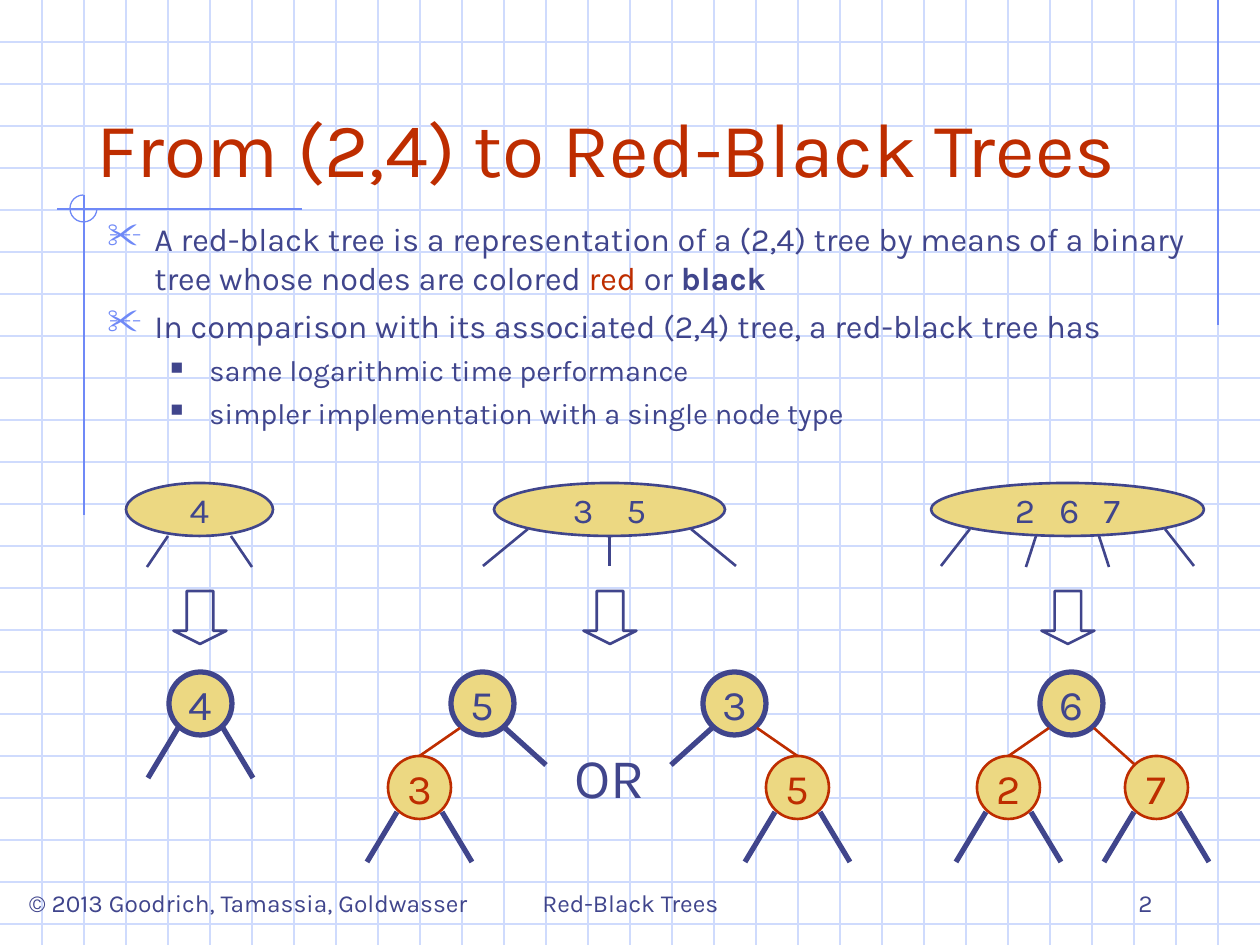
from lxml.etree import SubElement
from pptx import Presentation
from pptx.dml.color import RGBColor
from pptx.enum.shapes import MSO_CONNECTOR, MSO_SHAPE
from pptx.enum.text import MSO_ANCHOR, MSO_AUTO_SIZE, PP_ALIGN
from pptx.oxml.ns import qn
from pptx.util import Emu, Pt

PX = 914400 / 126
W, H = 1260, 945
FONT = "Karla"
COLORS = {"ink": "40458C", "red": "BE2D00", "gold": "ECD882",
          "grid": "CFDBFD", "rule": "6F89F7"}
NODE = 63


def px(*values):
    return [Emu(round(v * PX)) for v in values]


def rgb(name):
    return RGBColor.from_string(COLORS[name])


def add_run(p, text, size, color="ink", bold=False):
    r = p.add_run()
    r.text = text
    r.font.name, r.font.size, r.font.bold = FONT, Pt(size), bold
    r.font.color.rgb = rgb(color)
    return r


def add_line(s, start, end, color="ink", width=1.5):
    c = s.shapes.add_connector(MSO_CONNECTOR.STRAIGHT, *px(*start, *end))
    c.line.color.rgb, c.line.width = rgb(color), Pt(width)
    SubElement(c.element.spPr, qn("a:effectLst"))
    return c


def add_outline(s, kind, box, color="ink", width=1.5, fill=None):
    sp = s.shapes.add_shape(kind, *px(*box))
    sp.shadow.inherit = False
    sp.line.color.rgb, sp.line.width = rgb(color), Pt(width)
    if fill:
        sp.fill.solid()
        sp.fill.fore_color.rgb = rgb(fill)
    else:
        sp.fill.background()
    return sp


def add_label(s, box, text, size, align=PP_ALIGN.CENTER, anchor=MSO_ANCHOR.BOTTOM, wrap=True):
    tf = s.shapes.add_textbox(*px(*box)).text_frame
    tf.word_wrap, tf.vertical_anchor = wrap, anchor
    tf.paragraphs[0].alignment = align
    add_run(tf.paragraphs[0], text, size)


def add_oval(s, box, keys, size, color="ink", width=1.5, gap=0):
    """Oval with its keys in a row; gap is the extra space between keys in points."""
    sp = add_outline(s, MSO_SHAPE.OVAL, box, color, width, "gold")
    tf = sp.text_frame
    tf.word_wrap, tf.vertical_anchor = False, MSO_ANCHOR.MIDDLE
    p = tf.paragraphs[0]
    p.alignment = PP_ALIGN.CENTER
    for i, key in enumerate(keys):
        if i:
            space = add_run(p, " ", size, color)
            space.font._element.set("spc", str(gap * 100))
        add_run(p, key, size, color)
    return sp


def draw_backdrop(s):
    pitch = 42
    for y in range(pitch, H, pitch):
        add_line(s, (0, y), (W, y), "grid", 0.75)
    for x in range(pitch, W, pitch):
        add_line(s, (x, 0), (x, H), "grid", 0.75)
    for start, end in [((1218, 0), (1218, 325)), ((302, 209), (57, 209)),
                       ((84, 195), (84, 515))]:
        add_line(s, start, end, "rule", 0.75)
    arc = add_outline(s, MSO_SHAPE.ARC, (70, 195, 27, 27), "rule", 0.75)
    arc.adjustments[0], arc.adjustments[1] = 0, 162


def draw_title(s, box, text):
    sp = s.shapes.title
    sp.left, sp.top, sp.width, sp.height = px(*box)
    tf = sp.text_frame
    tf.auto_size, tf.vertical_anchor = MSO_AUTO_SIZE.NONE, MSO_ANCHOR.BOTTOM
    tf.paragraphs[0].alignment = PP_ALIGN.LEFT
    add_run(tf.paragraphs[0], text, 44, "red")
    s.shapes.element.append(sp.element)  # in front of the backdrop


def set_bullet(p, char, color, percent, margin, indent):
    pPr = p._p.get_or_add_pPr()
    left, hang = px(margin, -indent)
    pPr.set("marL", str(left))
    pPr.set("indent", str(hang))
    clr = SubElement(pPr, qn("a:buClr"))
    SubElement(clr, qn("a:srgbClr"), val=COLORS[color])
    SubElement(pPr, qn("a:buSzPct"), val=str(percent * 1000))
    SubElement(pPr, qn("a:buChar"), char=char)


def draw_body(s, box, items):
    tf = s.shapes.add_textbox(*px(*box)).text_frame
    tf.word_wrap = True
    styles = [(18.5, 5, ("✂", "rule", 110, 47, 47)),
              (16.6, 4.5, ("■", "ink", 60, 102, 39))]
    for i, (level, runs) in enumerate(items):
        p = tf.add_paragraph() if i else tf.paragraphs[0]
        size, before, bullet = styles[level]
        set_bullet(p, *bullet)
        p.level = level
        if i:
            p.space_before = Pt(before)
        for text, *look in runs:
            add_run(p, text, size, *look)


def draw_multiway_node(s, x, y, w, keys, legs, gap=0):
    """Wide (2,4) node; legs lists the left half, which is mirrored."""
    add_oval(s, (x, y, w, 53), keys, 20, gap=gap)
    for (x0, y0), (x1, y1) in legs:
        add_line(s, (x + x0, y + y0), (x + x1, y + y1))
        if x0 != w / 2:
            add_line(s, (x + w - x0, y + y0), (x + w - x1, y + y1))
    add_outline(s, MSO_SHAPE.DOWN_ARROW, (x + w / 2 - 26, y + 108, 53, 53)).adjustments[1] = 0.25


def draw_node(s, x, y, key, color="ink"):
    return add_oval(s, (x, y, NODE, NODE), [key], 24, color, 3 if color == "ink" else 1.5)


def draw_branch(s, x, y, right, end, color="ink"):
    """Line from a node's lower left or right to end, given for the left side."""
    def at(dx, dy):
        return (x + (NODE - dx if right else dx), y + dy)
    return add_line(s, at(9, 56), at(*end), color, 3 if color == "ink" else 1.5)


def draw_legs(s, x, y):
    for right in (False, True):
        draw_branch(s, x, y, right, (-21, 106))


def draw_red_child(s, x, y, key, right, shift=63):
    """Red child below the node at x, y, with its link."""
    cx, cy = x + (shift if right else -shift), y + 84
    child = draw_node(s, cx, cy, key, "red")
    if shift == NODE:
        draw_branch(s, x, y, right, (-31, 84), "red").end_connect(child, 0)
    else:
        draw_branch(s, x, y, right, (NODE - shift - 9, 92), "red")
    draw_legs(s, cx, cy)


def draw_two_key_tree(s, x, y, root, child, right):
    draw_node(s, x, y, root)
    draw_branch(s, x, y, not right, (-32, 93))
    draw_red_child(s, x, y, child, right)


def draw_footer(s, y):
    add_label(s, (4, y + 21, 489, 43), "© 2013 Goodrich, Tamassia, Goldwasser", 14,
              anchor=MSO_ANCHOR.TOP, wrap=False)
    add_label(s, (431, y, 399, 63), "Red-Black Trees", 14)
    add_label(s, (903, y, 262, 63), "2", 14, PP_ALIGN.RIGHT)


def main():
    prs = Presentation()
    prs.slide_width, prs.slide_height = px(W, H)
    s = prs.slides.add_slide(prs.slide_layouts[5])
    draw_backdrop(s)
    draw_footer(s, 861)
    draw_title(s, (84, 42, 1124, 157), "From (2,4) to Red-Black Trees")
    draw_body(s, (95, 213, 1113, 249), [
        (0, [("A red-black tree is a representation of a (2,4) tree by means of a "
              "binary tree whose nodes are colored ",),
             ("red", "red"), (" or ",), ("black", "ink", True)]),
        (0, [("In comparison with its associated (2,4) tree, a red-black tree has",)]),
        (1, [("same logarithmic time performance",)]),
        (1, [("simpler implementation with a single node type",)]),
    ])

    wide_y, tree_y = 483, 672
    draw_multiway_node(s, 126, wide_y, 147, "4", [((42, 53), (21, 84))])
    draw_multiway_node(s, 494, wide_y, 231, "35",
                       [((34, 46), (-11, 83)), ((115.5, 54), (115.5, 83))], gap=14)
    draw_multiway_node(s, 931, wide_y, 273, "267",
                       [((39, 46), (10, 83)), ((105, 53), (95, 84))], gap=9)

    draw_node(s, 169, tree_y, "4")
    draw_legs(s, 169, tree_y)
    draw_two_key_tree(s, 451, tree_y, "5", "3", right=False)
    add_label(s, (558, 736, 103, 81), "OR", 32, anchor=MSO_ANCHOR.TOP, wrap=False)
    draw_two_key_tree(s, 703, tree_y, "3", "5", right=True)
    draw_node(s, 1040, tree_y, "6")
    draw_red_child(s, 1040, tree_y, "2", right=False)
    draw_red_child(s, 1040, tree_y, "7", right=True, shift=85)
    prs.save("out.pptx")


if __name__ == "__main__":
    main()
